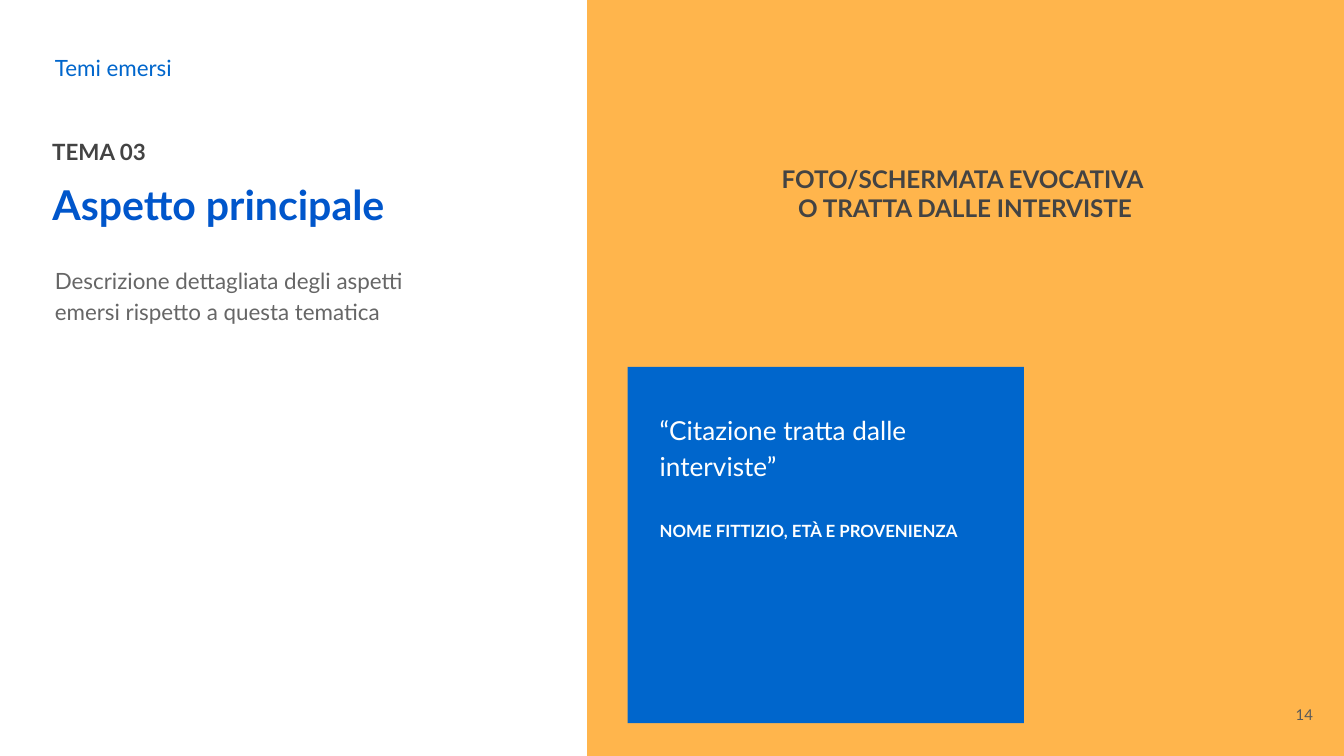
"""Build the "Tema 03" slide with a photo area and an interview quote."""
from dataclasses import dataclass

from pptx import Presentation
from pptx.dml.color import RGBColor
from pptx.enum import shapes, text
from pptx.util import Pt

FONT = "Lato"
INSET = Pt(7.2)
WHITE = RGBColor(0xFF, 0xFF, 0xFF)
ORANGE = RGBColor(0xFF, 0xB5, 0x4C)
BLUE = RGBColor(0x00, 0x66, 0xCC)
TITLE_BLUE = RGBColor(0x00, 0x56, 0xCB)
DARK = RGBColor(0x43, 0x43, 0x43)
GREY = RGBColor(0x66, 0x66, 0x66)
NUMBER_GREY = RGBColor(0x59, 0x59, 0x59)
TOP, MIDDLE = text.MSO_ANCHOR.TOP, text.MSO_ANCHOR.MIDDLE
LEFT, CENTER, RIGHT = text.PP_ALIGN.LEFT, text.PP_ALIGN.CENTER, text.PP_ALIGN.RIGHT


@dataclass(frozen=True)
class Box:
    left: float
    top: float
    width: float
    height: float

    def lengths(self) -> tuple:
        return Pt(self.left), Pt(self.top), Pt(self.width), Pt(self.height)


@dataclass(frozen=True)
class Line:
    words: str
    size: float
    color: RGBColor
    bold: bool = False
    spacing: float = 1.0
    before: float = 0


@dataclass(frozen=True)
class Label:
    box: Box
    lines: tuple[Line, ...]
    align: text.PP_ALIGN = LEFT
    anchor: text.MSO_ANCHOR = TOP


PANELS = (
    (Box(314.6, 0, 405.4, 405), ORANGE),
    (Box(336.2, 196.6, 212.4, 190.8), BLUE),
)
TITLE = Label(Box(20.9, 85, 251.3, 40.3),
              (Line("Aspetto principale", 22, TITLE_BLUE, True, 1.15),))
LABELS = (
    Label(Box(22.3, 25.2, 305.3, 22.3), (Line("Temi emersi", 12, BLUE),), anchor=MIDDLE),
    Label(Box(20.9, 67, 76.3, 22.3), (Line("TEMA 03", 12, DARK, True),)),
    Label(Box(22.3, 133.9, 232.6, 196.6),
          (Line("Descrizione dettagliata degli aspetti emersi rispetto a questa tematica",
                12, GREY, spacing=1.15),)),
    Label(Box(385.2, 80.6, 263.5, 22.3),
          (Line("FOTO/SCHERMATA EVOCATIVA \vO TRATTA DALLE INTERVISTE", 13, DARK, True),),
          align=CENTER),
    Label(Box(346.3, 212.4, 189.4, 68.4),
          (Line("“Citazione tratta dalle interviste”", 14, WHITE, spacing=1.15),
           Line("NOME FITTIZIO, ETÀ E PROVENIENZA", 9, WHITE, True, 1.15, 19))),
    Label(Box(667.4, 367.2, 43.2, 31), (Line("14", 8, NUMBER_GREY),), RIGHT, MIDDLE),
)


def add_panel(slide, box: Box, color: RGBColor) -> None:
    panel = slide.shapes.add_shape(shapes.MSO_SHAPE.RECTANGLE, *box.lengths())
    panel.shadow.inherit = False
    panel.fill.solid()
    panel.fill.fore_color.rgb = color
    panel.line.fill.background()


def write_label(shape, label: Label) -> None:
    shape.left, shape.top, shape.width, shape.height = label.box.lengths()
    frame = shape.text_frame
    frame.word_wrap = True
    frame.auto_size = text.MSO_AUTO_SIZE.NONE
    frame.vertical_anchor = label.anchor
    frame.margin_left = frame.margin_right = INSET
    frame.margin_top = frame.margin_bottom = INSET
    frame.text = "\n".join(line.words for line in label.lines)
    for paragraph, line in zip(frame.paragraphs, label.lines):
        paragraph.alignment = label.align
        paragraph.line_spacing = line.spacing
        paragraph.space_before = Pt(line.before)
        for run in paragraph.runs:
            run.font.name = FONT
            run.font.size = Pt(line.size)
            run.font.bold = line.bold
            run.font.color.rgb = line.color


def main() -> None:
    deck = Presentation()
    deck.slide_width, deck.slide_height = Pt(720), Pt(405)
    slide = deck.slides.add_slide(deck.slide_layouts[5])
    for box, color in PANELS:
        add_panel(slide, box, color)
    write_label(slide.shapes.title, TITLE)
    for label in LABELS:
        write_label(slide.shapes.add_textbox(*label.box.lengths()), label)
    deck.save("out.pptx")


if __name__ == "__main__":
    main()
